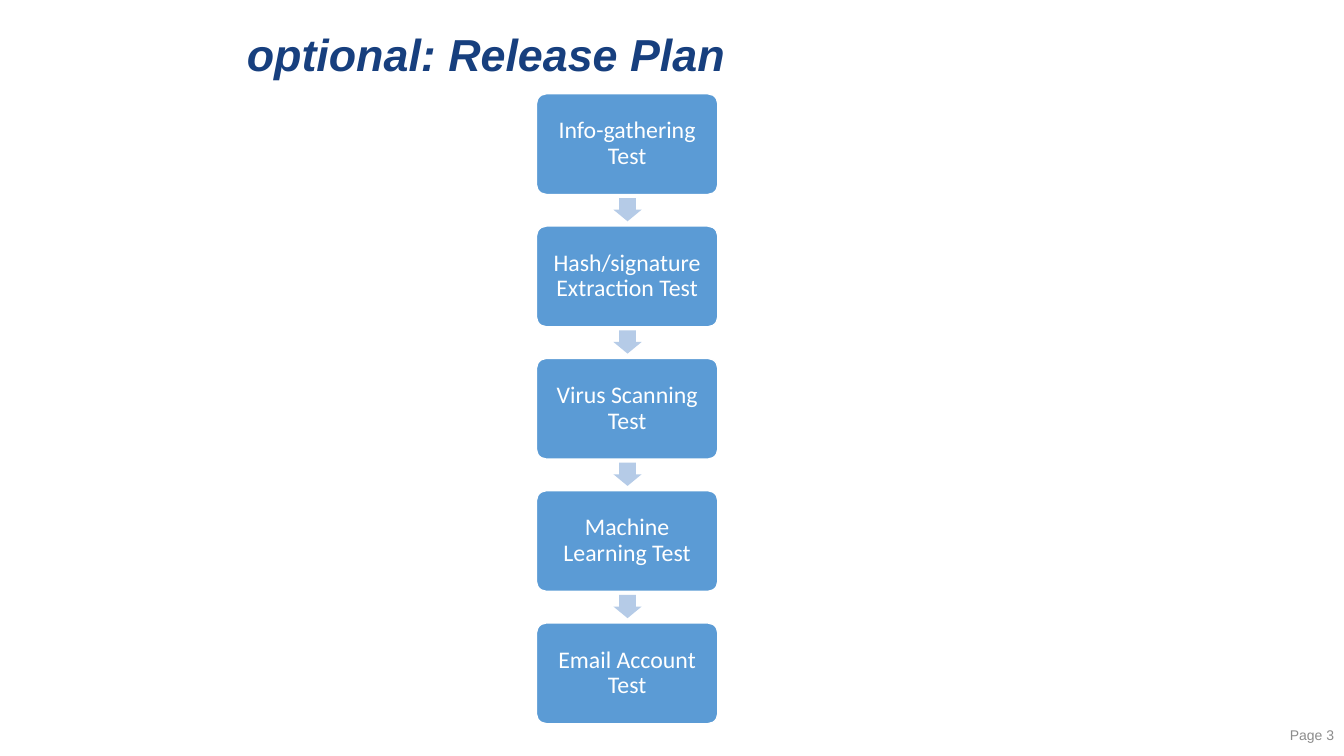
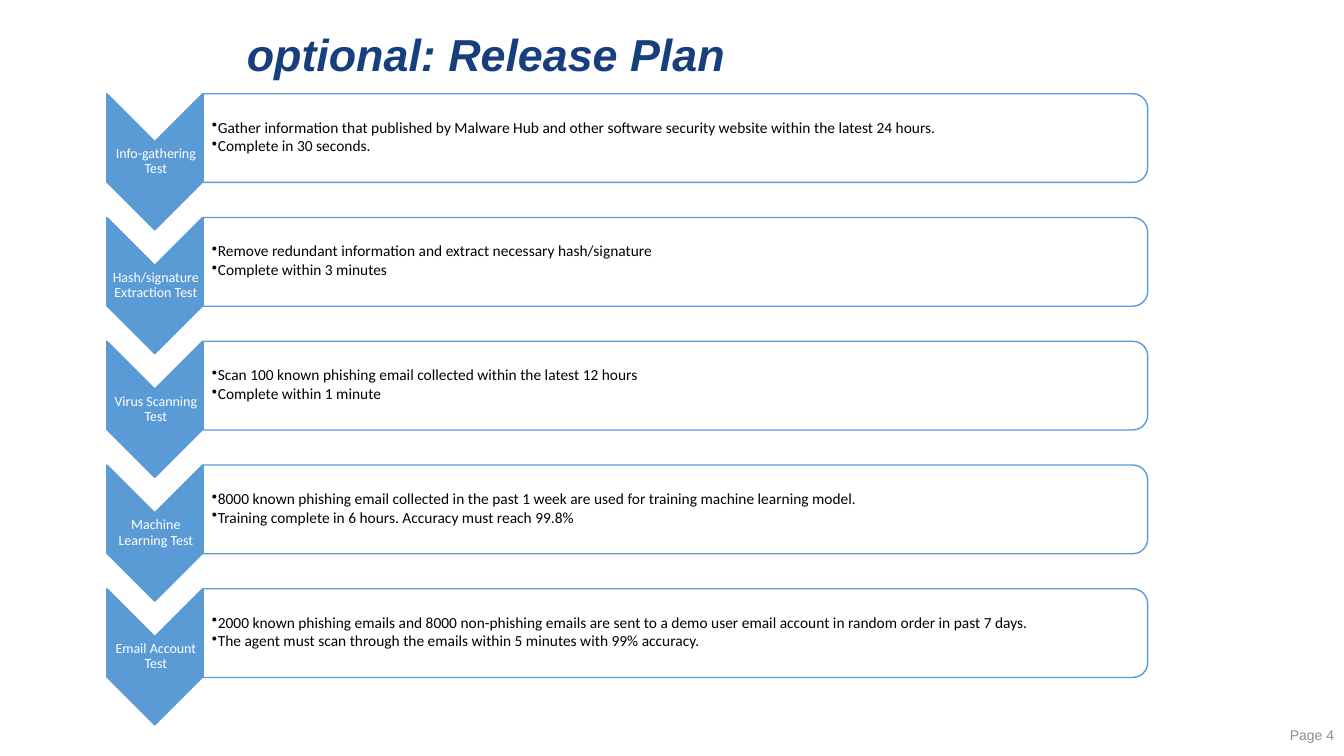
"""Release plan deck: the test sequence and the criteria of each test."""
from dataclasses import dataclass

from lxml import etree
from pptx import Presentation
from pptx import util as u
from pptx.dml.color import RGBColor
from pptx.enum import shapes, text
from pptx.oxml import ns

KIND = shapes.MSO_SHAPE
ALIGN = text.PP_ALIGN


@dataclass(frozen=True)
class Theme:
    """Colours, fonts and type sizes of the deck."""
    navy: str = "173F7E"
    blue: str = "5B9BD5"
    pale: str = "B5CBE7"
    grey: str = "8C8C8C"
    white: str = "FFFFFF"
    black: str = "000000"
    heading_font: str = "Arial"
    body_font: str = "Calibri"
    title_size: int = 32
    step_size: int = 17
    detail_size: int = 11
    small_size: int = 10


THEME = Theme()

TITLE = "optional: Release Plan"
STEPS = {
    "Info-gathering Test": [
        "Gather information that published by Malware Hub and other software "
        "security website within the latest 24 hours.",
        "Complete in 30 seconds."],
    "Hash/signature Extraction Test": [
        "Remove redundant information and extract necessary hash/signature",
        "Complete within 3 minutes"],
    "Virus Scanning Test": [
        "Scan 100 known phishing email collected within the latest 12 hours",
        "Complete within 1 minute"],
    "Machine Learning Test": [
        "8000 known phishing email collected in the past 1 week are used for "
        "training machine learning model.",
        "Training complete in 6 hours. Accuracy must reach 99.8%"],
    "Email Account Test": [
        "2000 known phishing emails and 8000 non-phishing emails are sent to a "
        "demo user email account in random order in past 7 days.",
        "The agent must scan through the emails within 5 minutes with 99% "
        "accuracy."],
}


def assign(target, values):
    """Set each attribute named in a dict of format values."""
    for name, value in values.items():
        setattr(target, name, value)


class Designer:
    """Draws on the current page; places are percentages of the slide."""

    def __init__(self, theme):
        """Start an empty widescreen deck."""
        self.theme = theme
        self.deck = Presentation()
        assign(self.deck, {"slide_width": u.Inches(13.33),
                           "slide_height": u.Inches(7.5)})
        self.page = None

    def start_page(self, title, number):
        """Add a blank page with its title and page number."""
        theme = self.theme
        self.page = self.deck.slides.add_slide(self.deck.slide_layouts[6])
        self.label((17.63, 3.6, 59.93, 8), [title], theme.title_size,
                   theme.navy, font=theme.heading_font, bold=True, italic=True)
        self.label((87.5, 94.67, 12.5, 5.33), [f"Page {number}"],
                   theme.small_size, theme.grey, font=theme.heading_font,
                   align=ALIGN.RIGHT)

    def frame(self, place):
        """Turn percentages into lengths."""
        across, down = self.deck.slide_width, self.deck.slide_height
        return [u.Emu(round(share * full / 100))
                for share, full in zip(place, (across, down, across, down))]

    def shape(self, kind, place, fill, line=None, adjust=()):
        """Add a flat preset shape."""
        box = self.page.shapes.add_shape(kind, *self.frame(place))
        box.shadow.inherit = False
        box.fill.solid()
        box.fill.fore_color.rgb = RGBColor.from_string(fill)
        if line:
            box.line.color.rgb = RGBColor.from_string(line)
            box.line.width = u.Pt(1)
        else:
            box.line.fill.background()
        for index, value in enumerate(adjust):
            box.adjustments[index] = value
        return box

    def turned(self, kind, place, fill, line=None, adjust=()):
        """Add a shape turned a quarter clockwise that covers the place."""
        box = self.shape(kind, place, fill, line, adjust)
        left, top, width, height = self.frame(place)
        assign(box, {"left": left + (width - height) // 2,
                     "top": top + (height - width) // 2,
                     "width": height, "height": width, "rotation": 90})
        return box

    def label(self, place, lines, size, color, insets=None, **style):
        """Add a text box."""
        box = self.page.shapes.add_textbox(*self.frame(place))
        self.fill_text(box, lines, size, color, insets, **style)

    def fill_text(self, box, lines, size, color, insets=None, font=None,
                  align=ALIGN.LEFT, bullets=False, **font_values):
        """Fill a shape with vertically centred paragraphs."""
        frame = box.text_frame
        assign(frame, {"word_wrap": True,
                       "vertical_anchor": text.MSO_ANCHOR.MIDDLE})
        if insets:
            sides = ("margin_left", "margin_top", "margin_right", "margin_bottom")
            assign(frame, dict(zip(sides, map(u.Inches, insets))))
        for index, line in enumerate(lines):
            para = frame.add_paragraph() if index else frame.paragraphs[0]
            assign(para, {"alignment": align, "line_spacing": 0.9})
            if bullets:
                self.bullet(para)
            span = para.add_run()
            span.text = line
            assign(span.font, {"name": font or self.theme.body_font,
                               "size": u.Pt(size), **font_values})
            span.font.color.rgb = RGBColor.from_string(color)

    def bullet(self, para):
        """Give a paragraph a hanging bullet."""
        para.space_after = u.Pt(1.5)
        indent = u.Inches(0.06)
        properties = para._p.get_or_add_pPr()
        properties.set("marL", str(indent))
        properties.set("indent", str(-indent))
        etree.SubElement(properties, ns.qn("a:buChar")).set("char", "•")


def draw_sequence(designer):
    """Draw the tests as a column of boxes joined by arrows."""
    theme = designer.theme
    designer.start_page(TITLE, 3)
    for row, step in enumerate(STEPS):
        top = 12.4 + 17.5 * row
        box = designer.shape(KIND.ROUNDED_RECTANGLE, (39.91, top, 13.5, 13.33),
                             theme.blue, theme.white, [0.1])
        designer.fill_text(box, [step], theme.step_size, theme.white,
                           [0.1] * 4, align=ALIGN.CENTER)
        if row < len(STEPS) - 1:
            designer.turned(KIND.RIGHT_ARROW, (45.64, top + 13.8, 2.1, 3.07),
                            theme.pale, adjust=[0.6, 0.5])


def draw_criteria(designer):
    """Draw each test as a chevron with a panel of its criteria."""
    theme = designer.theme
    designer.start_page(TITLE, 4)
    for row, (step, criteria) in enumerate(STEPS.items()):
        top = 12.4 + 16.37 * row
        designer.turned(KIND.CHEVRON, (7.95, top, 7.13, 18),
                        theme.blue, theme.blue)
        designer.label((8.03, top + 6.27, 7.13, 5.47), [step],
                       theme.small_size, theme.white, [0.01] * 4,
                       align=ALIGN.CENTER)
        designer.turned(KIND.ROUND_2_SAME_RECTANGLE,
                        (15.11, top, 70.28, 11.73), theme.white, theme.blue)
        designer.label((15.08, top + 0.53, 70, 10.53), criteria,
                       theme.detail_size, theme.black,
                       [0.09, 0.01, 0.01, 0.01], bullets=True)


def main():
    """Build and save the deck."""
    designer = Designer(THEME)
    draw_sequence(designer)
    draw_criteria(designer)
    designer.deck.save("out.pptx")


main()
